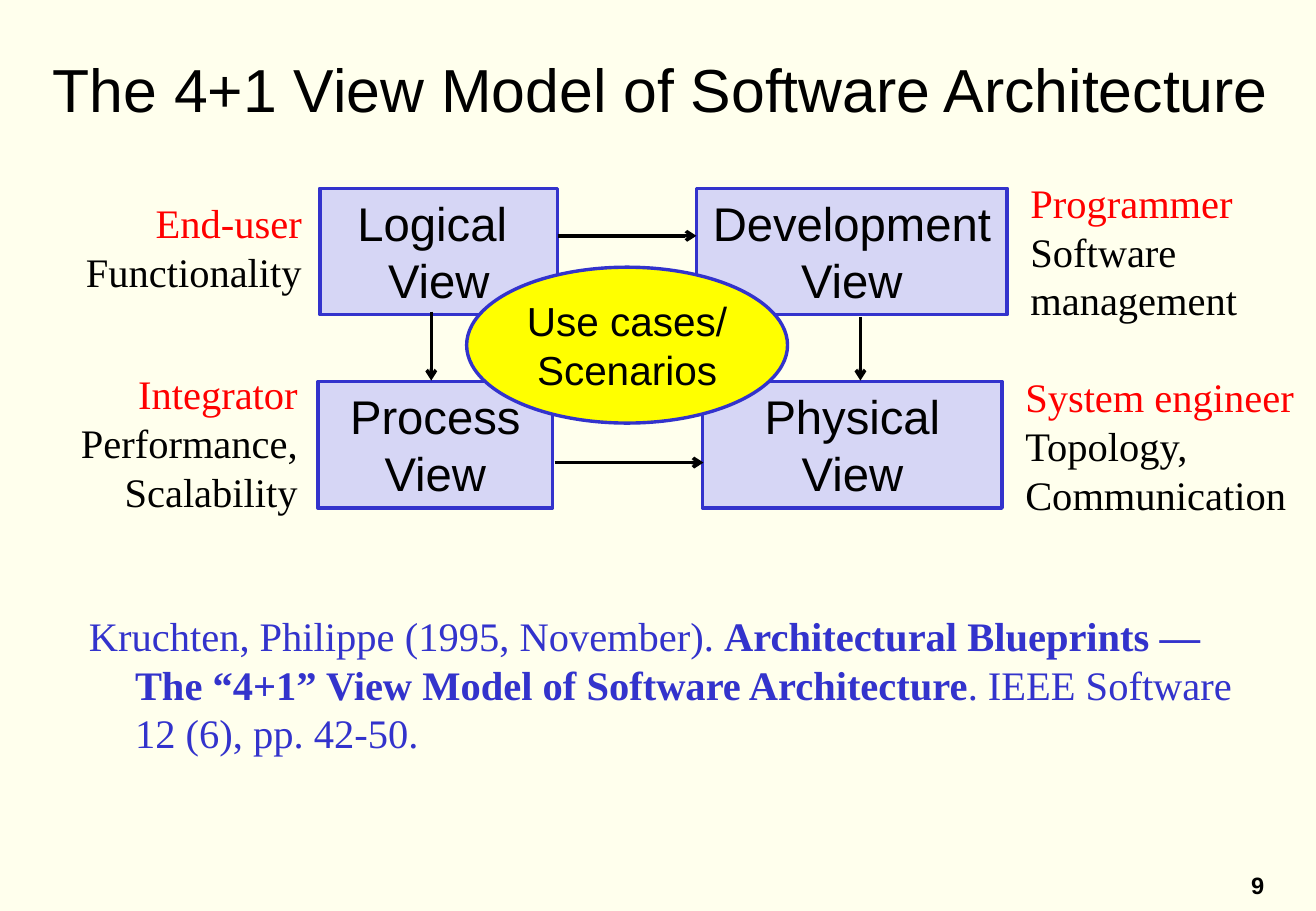
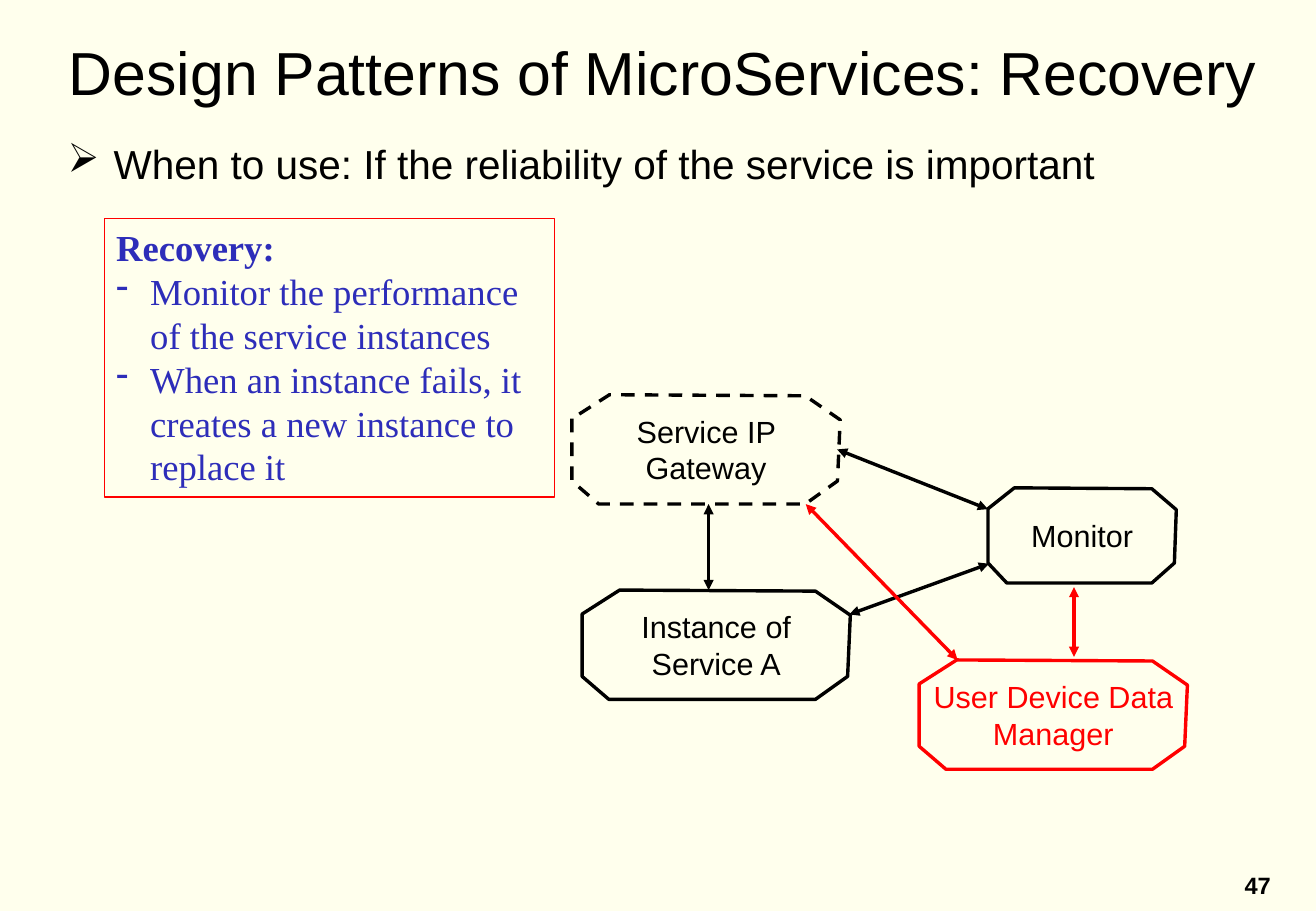
from collections import namedtuple

from lxml.etree import SubElement
from pptx import Presentation
from pptx.dml.color import RGBColor
from pptx.enum.dml import MSO_LINE_DASH_STYLE as Dash
from pptx.enum.shapes import MSO_CONNECTOR as Connector, MSO_SHAPE as Shape
from pptx.enum.text import MSO_ANCHOR as Anchor, MSO_AUTO_SIZE as AutoSize, PP_ALIGN as Align
from pptx.oxml.ns import qn
from pptx.util import Inches, Pt

COLUMNS, ROWS = 130, 90
CELL = Inches(1) // 12
TITLE_ONLY = 5

CREAM, BLACK, RED = "FFFFED", "000000", "FF0000"
BLUE, NAVY, LILAC, YELLOW = "3333CC", "2D2DB9", "D6D6F5", "FFFF00"
SANS, SERIF = "Arial", "Times New Roman"

OCTAGON = [(0, 0.22), (0, 0.79), (0.1, 1), (0.87, 1),
           (0.99, 0.79), (1, 0.23), (0.87, 0.01), (0.14, 0)]


class Box(namedtuple("Box", "left top width height")):
    def inner(self, left, top, width, height):
        return Box(self.left + left, self.top + top, width, height)

    def point(self, column, row):
        return cells(self.left + column, self.top + row)


def cells(*counts):
    return [round(count * CELL) for count in counts]


def rgb(value):
    return RGBColor.from_string(value)


def outline(shape, color, width=2, fill=None):
    shape.shadow.inherit = False
    shape.line.color.rgb = rgb(color)
    shape.line.width = Pt(width)
    if fill:
        shape.fill.solid()
        shape.fill.fore_color.rgb = rgb(fill)
    else:
        shape.fill.background()


def prepare(shape, anchor=Anchor.TOP):
    frame = shape.text_frame
    frame.word_wrap = True
    frame.auto_size = AutoSize.NONE
    frame.vertical_anchor = anchor
    return frame.paragraphs[0]


def style(para, size, font=SANS, color=BLACK, align=Align.LEFT, bold=False):
    para.alignment = align
    para.font.size = Pt(size)
    para.font.name = font
    para.font.bold = bold
    para.font.color.rgb = rgb(color)


def hang(para, indent, bullet=None):
    properties = para._p.get_or_add_pPr()
    properties.set("marL", str(Inches(indent)))
    properties.set("indent", str(-Inches(indent)))
    if bullet:
        SubElement(properties, qn("a:buChar")).set("char", bullet)


def add_text(page, box):
    return prepare(page.shapes.add_textbox(*cells(*box)))


def add_arrow(page, area, start, end, color=BLACK, head=None, tail="triangle"):
    arrow = page.shapes.add_connector(
        Connector.STRAIGHT, *area.point(*start), *area.point(*end))
    arrow.line.color.rgb = rgb(color)
    arrow.line.width = Pt(2)
    properties = arrow._element.spPr
    line = properties.find(qn("a:ln"))
    for tag, kind in (("a:headEnd", head), ("a:tailEnd", tail)):
        if kind:
            SubElement(line, qn(tag)).set("type", kind)
    SubElement(properties, qn("a:effectLst"))


def add_page(deck, title, title_box, number):
    page = deck.slides.add_slide(deck.slide_layouts[TITLE_ONLY])
    heading = page.shapes.title
    heading.left, heading.top, heading.width, heading.height = cells(*title_box)
    para = prepare(heading, Anchor.MIDDLE)
    para.text = title
    style(para, 36)
    para = add_text(page, Box(COLUMNS - 8.8, ROWS - 4.6, 6.1, 4))
    para.text = number
    style(para, 14, align=Align.CENTER, bold=True)
    return page


def add_view_diagram(page, area):
    upper, lower, height = 1.6, 20.7, 12.5
    views = [
        (Shape.RECTANGLE, "Logical \vView", (26.6, upper, 23.5, height), LILAC, 28),
        (Shape.RECTANGLE, "Process\vView", (26.4, lower, 23.2, height), LILAC, 28),
        (Shape.RECTANGLE, "Development\vView", (63.8, upper, 30.7, height), LILAC, 28),
        (Shape.RECTANGLE, "Physical\vView", (64.4, lower, 29.6, height), LILAC, 28),
        (Shape.OVAL, "Use cases/\vScenarios", (41.1, 9.4, 31.7, 15.4), YELLOW, 24),
    ]
    for kind, label, place, fill, size in views:
        view = page.shapes.add_shape(kind, *cells(*area.inner(*place)))
        outline(view, BLUE, fill=fill)
        para = prepare(view)
        if kind == Shape.OVAL:
            view.text_frame.margin_left = view.text_frame.margin_right = 0
        para.text = label
        style(para, size, align=Align.CENTER)

    for start, end in [((50.1, 6.3), (63.8, 6.3)), ((37.6, 13.8), (37.6, 20.6)),
                       ((49.8, 28.7), (64.5, 28.7)), ((80, 14.3), (80, 20.6))]:
        add_arrow(page, area, start, end, tail="arrow")

    notes = [
        ("End-user", "Functionality", (2, 2, 24, 10.9), Align.RIGHT),
        ("Programmer", "Software management", (95.6, 0, 27.5, 15.7), Align.LEFT),
        ("Integrator", "Performance, Scalability", (0.3, 18.9, 25.3, 15.7), Align.RIGHT),
        ("System engineer", "Topology, Communication", (95.1, 19.2, 29.9, 15.7), Align.LEFT),
    ]
    for role, concern, place, align in notes:
        para = add_text(page, area.inner(*place))
        para.text = role
        style(para, 24, SERIF, RED, align)
        para = page.shapes[-1].text_frame.add_paragraph()
        para.text = concern
        style(para, 24, SERIF, BLACK, align)


def add_citation(page, area):
    para = add_text(page, area)
    hang(para, 0.38)
    style(para, 24, SERIF, BLUE)
    for text, bold in [
        ("Kruchten, Philippe (1995, November). ", False),
        ("Architectural Blueprints — The “4+1” View Model of Software Architecture", True),
        (". IEEE Software 12 (6), pp. 42-50.", False),
    ]:
        span = para.add_run()
        span.text = text
        span.font.bold = bold


def add_usage(page, area):
    para = add_text(page, area)
    para.text = "When to use: If the reliability of the service is important"
    hang(para, 0.38, "➢")
    style(para, 24)


def add_recovery_note(page, area):
    note = page.shapes.add_shape(Shape.RECTANGLE, *cells(*area))
    outline(note, RED, 0.75)
    para = prepare(note)
    para.text = "Recovery:"
    style(para, 21.7, SERIF, NAVY, bold=True)
    for text in ("Monitor the performance of the service instances",
                 "When an instance fails, it creates a new instance to replace it"):
        para = note.text_frame.add_paragraph()
        para.text = text
        hang(para, 0.28, "-")
        style(para, 21.7, SERIF, NAVY)


def add_octagon(page, box, label, color):
    corners = [box.point(x * box.width, y * box.height) for x, y in OCTAGON]
    builder = page.shapes.build_freeform(*corners[0])
    builder.add_line_segments(corners[1:], close=True)
    octagon = builder.convert_to_shape()
    outline(octagon, color)
    para = prepare(octagon, Anchor.MIDDLE)
    para.text = label
    style(para, 18.1, color=color, align=Align.CENTER)
    return octagon


def add_service_diagram(page, area):
    width, height = 26.5, 10.8
    gateway = add_octagon(page, area.inner(0.5, 0, width, height), "Service IP Gateway", BLACK)
    gateway.line.dash_style = Dash.DASH
    for label, place, color in [
        ("Instance of Service A", (1.5, 19.3, width, height), BLACK),
        ("Monitor", (41.6, 9.2, 18.6, 9.4), BLACK),
        ("User Device Data Manager", (34.8, 26.2, width, height), RED),
    ]:
        add_octagon(page, area.inner(*place), label, color)
    for start, end, color in [
        ((14, 10.8), (14, 19.3), BLACK),
        ((41.7, 16.7), (27.9, 21.7), BLACK),
        ((26.7, 5.4), (41.6, 11.3), BLACK),
        ((23.6, 10.8), (38.6, 26.2), RED),
        ((50.1, 19), (50.1, 25.9), RED),
    ]:
        add_arrow(page, area, start, end, color, head="triangle")


def main():
    deck = Presentation()
    deck.slide_width, deck.slide_height = cells(COLUMNS, ROWS)
    backdrop = deck.slide_master.background.fill
    backdrop.solid()
    backdrop.fore_color.rgb = rgb(CREAM)

    page = add_page(deck, "The 4+1 View Model of Software Architecture",
                    Box(4, 4.6, 123.6, 8.3), "9")
    add_citation(page, Box(7.6, 59.8, 116.6, 17))
    add_view_diagram(page, Box(5, 17, 125, 35))

    page = add_page(deck, "Design Patterns of MicroServices: Recovery",
                    Box(5.6, 2.9, 120.2, 8.3), "47")
    add_usage(page, Box(5.5, 13.1, 120.2, 6))
    add_recovery_note(page, Box(10.3, 21.6, 44.5, 27.5))
    add_service_diagram(page, Box(56, 39, 62, 37))

    deck.save("out.pptx")


if __name__ == "__main__":
    main()
